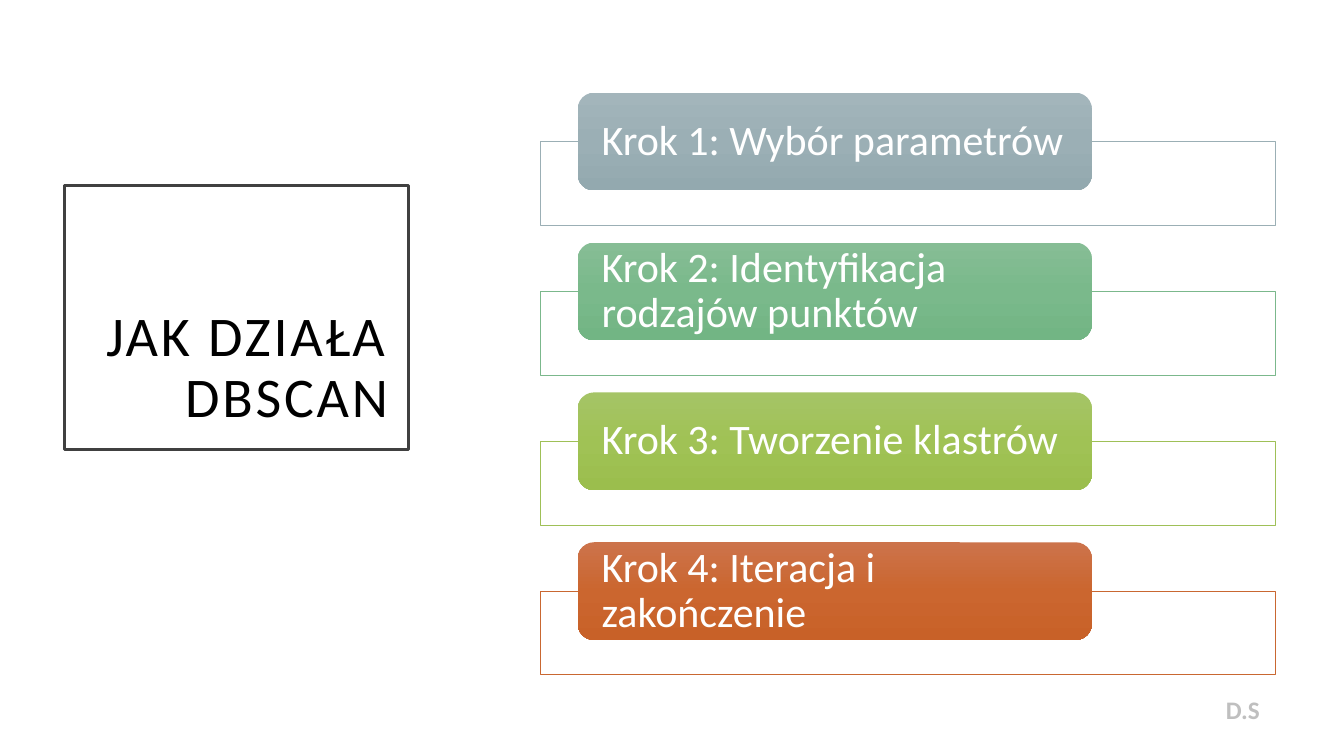
from copy import deepcopy
from dataclasses import dataclass

from pptx import Presentation
from pptx.dml.color import RGBColor as Color
from pptx.enum.shapes import MSO_SHAPE as Preset
from pptx.enum.text import MSO_ANCHOR as Anchor, PP_ALIGN as Align
from pptx.oxml import parse_xml
from pptx.oxml.ns import nsdecls, qn
from pptx.shapes.autoshape import Shape
from pptx.slide import Slide
from pptx.util import Inches, Pt


@dataclass(frozen=True)
class Theme:
    font: str = "Calibri"
    white: str = "FFFFFF"
    black: str = "000000"
    title_border: str = "404040"
    signature: str = "BFBFBF"
    title_size: float = 40
    step_size: float = 30
    signature_size: float = 18


@dataclass(frozen=True)
class Box:
    left: float
    top: float
    width: float
    height: float

    def lengths(self) -> tuple:
        return tuple(Inches(v) for v in (self.left, self.top, self.width, self.height))


@dataclass(frozen=True)
class Step:
    text: str
    line: str
    gradient: tuple[str, str, str]


THEME = Theme()
STEPS = (
    Step("Krok 1: Wybór parametrów", "9BAFB5", ("A3B5BB", "9BAFB5", "93A9AF")),
    Step("Krok 2: Identyfikacja rodzajów punktów", "7BB88C", ("86BD95", "7AB98B", "72B584")),
    Step("Krok 3: Tworzenie klastrów", "9FC057", ("A5C466", "A0C255", "9BBE4D")),
    Step("Krok 4: Iteracja i zakończenie", "C96731", ("CC734B", "CB662F", "C86128")),
)
FIRST_TOP, LAST_TOP = 0.92, 5.38
STEP_PITCH = (LAST_TOP - FIRST_TOP) / (len(STEPS) - 1)
FRAME_DROP = 0.485


def apply_format(target: object, values: dict) -> None:
    for name, value in values.items():
        setattr(target, name, value)


def write_text(shape: Shape, text: str, size: float, color: str,
               frame_format: dict, paragraph_format: dict, bold: bool = False):
    """Write one formatted paragraph and return its run."""
    apply_format(shape.text_frame, frame_format)
    paragraph = shape.text_frame.paragraphs[0]
    apply_format(paragraph, paragraph_format)
    run = paragraph.add_run()
    run.text = text
    apply_format(run.font, {"name": THEME.font, "size": Pt(size), "bold": bold})
    run.font.color.rgb = Color.from_string(color)
    return run


def add_panel(slide: Slide, box: Box, line: str, width: float) -> Shape:
    """Add a white rectangle with a coloured outline."""
    shape = slide.shapes.add_shape(Preset.RECTANGLE, *box.lengths())
    shape.shadow.inherit = False
    shape.fill.solid()
    shape.fill.fore_color.rgb = Color.from_string(THEME.white)
    shape.line.color.rgb = Color.from_string(line)
    shape.line.width = Pt(width)
    return shape


def fill_gradient(shape: Shape, colors: tuple[str, ...]) -> None:
    """Fill from top to bottom with evenly spaced colours."""
    shape.fill.gradient()
    shape.fill.gradient_angle = 270
    stop_list = shape._element.spPr.find(qn("a:gradFill")).find(qn("a:gsLst"))
    while len(stop_list) < len(colors):
        stop_list.append(deepcopy(stop_list[0]))
    for index, (stop, color) in enumerate(zip(shape.fill.gradient_stops, colors)):
        stop.position = index / (len(colors) - 1)
        stop.color.rgb = Color.from_string(color)


def add_title(slide: Slide) -> None:
    shape = add_panel(slide, Box(0.64, 1.84, 3.41, 2.62), THEME.title_border, 2.5)
    margins = {f"margin_{side}": Inches(0.2) for side in ("left", "top", "right", "bottom")}
    run = write_text(shape, "JAK DZIAŁA DBSCAN", THEME.title_size, THEME.black,
                     {"word_wrap": True, "vertical_anchor": Anchor.BOTTOM, **margins},
                     {"alignment": Align.RIGHT, "line_spacing": 0.9})
    run.font._element.set("spc", "200")  # letter spacing of 2 pt


def add_step(slide: Slide, step: Step, top: float) -> None:
    # Outlined frame, 90 % opaque
    frame = add_panel(slide, Box(5.36, top + FRAME_DROP, 7.29, 0.83), step.line, 0.5)
    frame_color = frame._element.spPr.find(qn("a:solidFill"))[0]
    frame_color.append(parse_xml(f'<a:alpha {nsdecls("a")} val="90000"/>'))

    # Rounded label
    label = slide.shapes.add_shape(Preset.ROUNDED_RECTANGLE, *Box(5.73, top, 5.1, 0.97).lengths())
    label.shadow.inherit = False
    label.line.fill.background()
    fill_gradient(label, step.gradient)
    write_text(label, step.text, THEME.step_size, THEME.white,
               {"word_wrap": True, "vertical_anchor": Anchor.MIDDLE,
                "margin_left": Inches(0.19), "margin_right": Inches(0.19),
                "margin_top": 0, "margin_bottom": 0},
               {"alignment": Align.LEFT, "line_spacing": 0.9})


def add_signature(slide: Slide) -> None:
    shape = slide.shapes.add_textbox(*Box(12.06, 6.84, 0.68, 0.4).lengths())
    write_text(shape, "D.S", THEME.signature_size, THEME.signature,
               {"word_wrap": True}, {"alignment": Align.LEFT}, bold=True)


def main() -> None:
    presentation = Presentation()
    presentation.slide_width = Inches(13.33)
    presentation.slide_height = Inches(7.5)
    slide = presentation.slides.add_slide(presentation.slide_layouts[6])

    add_title(slide)
    for index, step in enumerate(STEPS):
        add_step(slide, step, FIRST_TOP + index * STEP_PITCH)
    add_signature(slide)

    presentation.save("out.pptx")


if __name__ == "__main__":
    main()
